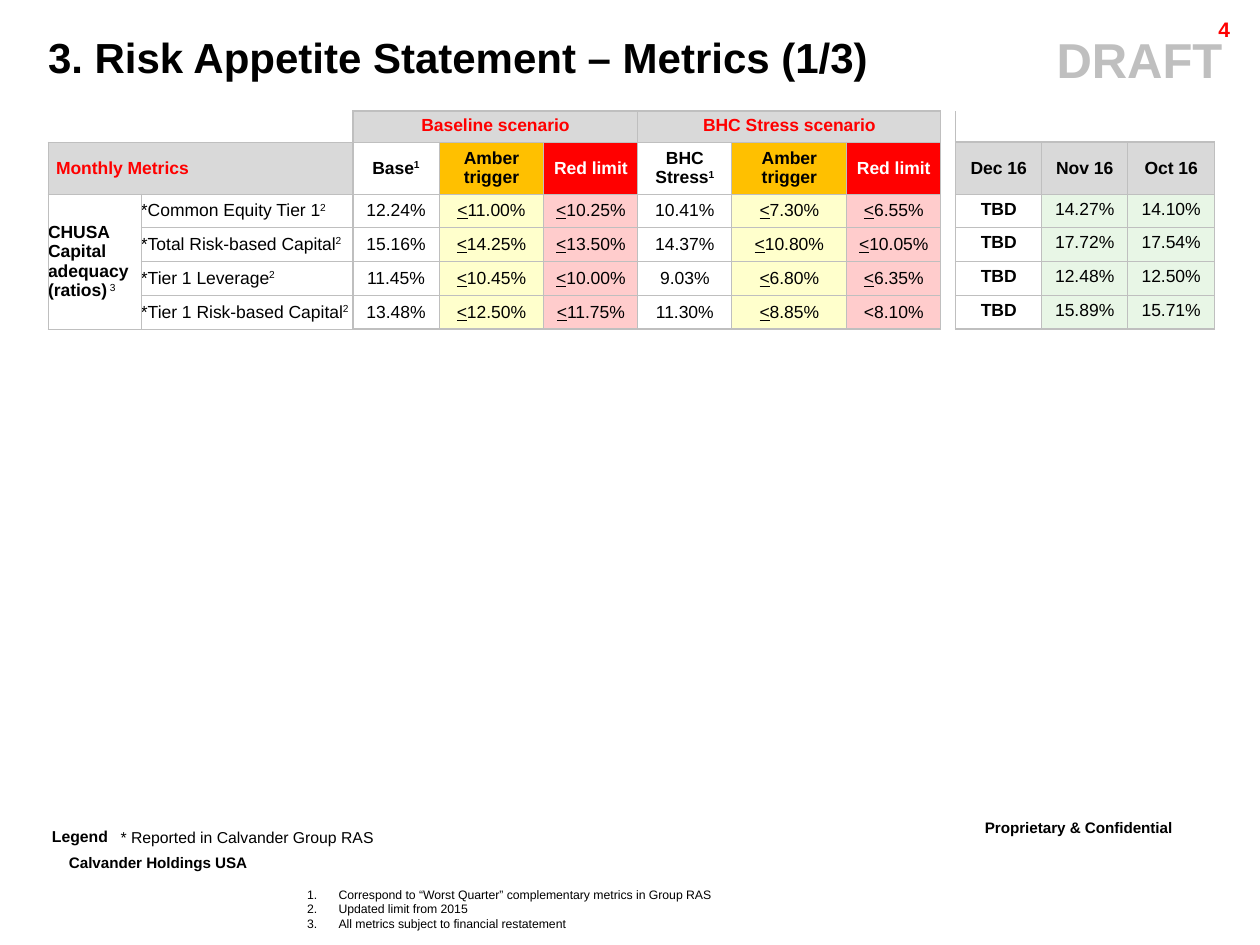
from dataclasses import dataclass
from itertools import accumulate

import pptx
import pptx.dml.color
import pptx.enum.text
import pptx.oxml.ns
import pptx.util
from lxml import etree

PX = 914400 / 126
ALIGN = pptx.enum.text.PP_ALIGN
ANCHOR = pptx.enum.text.MSO_ANCHOR
qn = pptx.oxml.ns.qn


@dataclass(frozen=True)
class Theme:
    font: str = "Arial"
    ink: str = "000000"
    white: str = "FFFFFF"
    red: str = "FF0000"
    amber: str = "FFC000"
    grey: str = "D9D9D9"
    rule: str = "BFBFBF"
    pale_amber: str = "FFFFCC"
    pale_red: str = "FFCCCC"
    pale_green: str = "E8F6E6"
    title: int = 24
    draft: int = 28
    page: int = 12
    owner: int = 15
    body: int = 10
    legend: int = 9
    note: int = 7


THEME = Theme()
NO_GRID_STYLE = "{2D5ABB26-0587-4C30-8999-92F81FD0307C}"


@dataclass(frozen=True)
class Run:
    text: str
    bold: bool = False
    color: str = THEME.ink
    raised: bool = False
    underline: bool = False


@dataclass(frozen=True)
class Label:
    lines: tuple
    left: int
    top: int
    width: int
    height: int
    size: int
    align: ALIGN = ALIGN.LEFT
    inset: tuple = (13, 6)
    leading: float = 1.0
    wrap: bool = True
    numbered: bool = False


@dataclass(frozen=True)
class Entry:
    lines: tuple
    fill: str = ""
    align: ALIGN = ALIGN.CENTER
    anchor: ANCHOR = ANCHOR.MIDDLE
    inset: tuple = (0, 0)
    span: tuple = (1, 1)
    gap: int = 0


@dataclass(frozen=True)
class Metric:
    name: str
    base: str
    base_amber: str
    base_red: str
    stress: str
    stress_amber: str
    stress_red: str
    november: str
    october: str


METRICS = (
    Metric("*Common Equity Tier 1", "12.24%", "≤11.00%", "≤10.25%", "10.41%", "≤7.30%", "≤6.55%", "14.27%", "14.10%"),
    Metric("*Total Risk-based Capital", "15.16%", "≤14.25%", "≤13.50%", "14.37%", "≤10.80%", "≤10.05%", "17.72%", "17.54%"),
    Metric("*Tier 1 Leverage", "11.45%", "≤10.45%", "≤10.00%", "9.03%", "≤6.80%", "≤6.35%", "12.48%", "12.50%"),
    Metric("*Tier 1 Risk-based Capital", "13.48%", "≤12.50%", "≤11.75%", "11.30%", "≤8.85%", "<8.10%", "15.89%", "15.71%"),
)
COLUMNS = (93, 212, 86, 105, 94, 94, 115, 94, 15, 86, 86, 87)
ROWS = (31, 52, 33, 34, 34, 34)
GAP = 8


def px(length: float) -> int:
    return round(length * PX)


def rgb(color: str) -> pptx.dml.color.RGBColor:
    return pptx.dml.color.RGBColor.from_string(color)


def write(frame, lines: tuple, size: int, align: ALIGN) -> None:
    for number, line in enumerate(lines):
        paragraph = frame.add_paragraph() if number else frame.paragraphs[0]
        paragraph.alignment = align
        for part in line:
            run = paragraph.add_run()
            run.text = part.text
            run.font.name = THEME.font
            run.font.size = pptx.util.Pt(size)
            run.font.bold = part.bold
            run.font.underline = part.underline
            run.font.color.rgb = rgb(part.color)
            if part.raised:
                run.font._element.set("baseline", "30000")


def draw_label(slide, label: Label) -> None:
    box = slide.shapes.add_textbox(px(label.left), px(label.top), px(label.width), px(label.height))
    frame = box.text_frame
    frame.word_wrap = label.wrap
    frame.margin_left = frame.margin_right = px(label.inset[0])
    frame.margin_top = frame.margin_bottom = px(label.inset[1])
    write(frame, label.lines, label.size, label.align)
    for paragraph in frame.paragraphs:
        paragraph.line_spacing = label.leading
        if label.numbered:
            properties = paragraph._p.get_or_add_pPr()
            properties.set("marL", str(px(31.5)))
            properties.set("indent", str(-px(31.5)))
            etree.SubElement(properties, qn("a:buAutoNum"), type="arabicPeriod")


def limit(value: str, fill: str) -> Entry:
    if value.startswith("≤"):
        return Entry(((Run("<", underline=True), Run(value[1:])),), fill)
    return Entry(((Run(value),),), fill)


def heading(text: str, fill: str = "", color: str = THEME.ink, note: str = "", **layout) -> Entry:
    parts = (Run(text, True, color),) + ((Run(note, True, color, True),) if note else ())
    return Entry((parts,), fill, **{"inset": (5, 5), "gap": 2, **layout})


def reading(value: str, fill: str = "", bold: bool = False) -> Entry:
    return Entry(((Run(value, bold),),), fill, anchor=ANCHOR.TOP, inset=(6, 6))


def table_entries() -> dict:
    entries = {
        (0, 2): heading("Baseline scenario", THEME.grey, THEME.red, span=(1, 3), anchor=ANCHOR.TOP),
        (0, 5): heading("BHC Stress scenario", THEME.grey, THEME.red, span=(1, 3), anchor=ANCHOR.TOP),
        (1, 0): heading("Monthly Metrics", THEME.grey, THEME.red, span=(1, 2), align=ALIGN.LEFT, inset=(8, 5), gap=0),
        (2, 0): Entry(((Run("CHUSA Capital adequacy", True),), (Run("(ratios)", True), Run(" 3", raised=True))),
                      align=ALIGN.LEFT, span=(4, 1)),
    }
    for column, scenario in ((2, "Base"), (5, "BHC Stress")):
        entries[1, column] = heading(scenario, note="1")
        entries[1, column + 1] = heading("Amber trigger", THEME.amber)
        entries[1, column + 2] = heading("Red limit", THEME.red, THEME.white)
    for column, month in enumerate(("Dec 16", "Nov 16", "Oct 16"), GAP + 1):
        entries[1, column] = heading(month, THEME.grey)
    for row, metric in enumerate(METRICS, 2):
        cells = (
            Entry(((Run(metric.name), Run("2", raised=True)),), align=ALIGN.LEFT),
            limit(metric.base, ""),
            limit(metric.base_amber, THEME.pale_amber),
            limit(metric.base_red, THEME.pale_red),
            limit(metric.stress, ""),
            limit(metric.stress_amber, THEME.pale_amber),
            limit(metric.stress_red, THEME.pale_red),
            Entry(()),
            reading("TBD", bold=True),
            reading(metric.november, THEME.pale_green),
            reading(metric.october, THEME.pale_green),
        )
        entries.update({(row, column): cell for column, cell in enumerate(cells, 1)})
    return entries


def vertical_weight(row: int, line: int) -> float:
    if row == 0 and not 2 <= line <= GAP:
        return 0
    return 1 if line == 2 or line >= GAP else 0.5


def horizontal_weight(line: int, column: int) -> float:
    if column == GAP or (line == 0 and column not in range(2, GAP)):
        return 0
    heavy = line == 0 or (line == 1 and column > GAP) or (line == len(ROWS) and column >= 2)
    return 1 if heavy else 0.5


def draw_borders(cell, row: int, column: int, span: tuple) -> None:
    weights = {
        "a:lnL": vertical_weight(row, column),
        "a:lnR": vertical_weight(row, column + span[1]),
        "a:lnT": horizontal_weight(row, column),
        "a:lnB": horizontal_weight(row + span[0], column),
    }
    properties = cell._tc.get_or_add_tcPr()
    drawn = [(tag, weight) for tag, weight in weights.items() if weight]
    for position, (tag, weight) in enumerate(drawn):
        edge = etree.Element(qn(tag), w=str(pptx.util.Pt(weight)))
        fill = etree.SubElement(edge, qn("a:solidFill"))
        etree.SubElement(fill, qn("a:srgbClr"), val=THEME.rule)
        properties.insert(position, edge)


def draw_cell(cell, row: int, column: int, entry: Entry) -> None:
    cell.margin_left = cell.margin_right = px(entry.inset[0])
    cell.margin_top = cell.margin_bottom = px(entry.inset[1])
    cell.vertical_anchor = entry.anchor
    if entry.fill:
        cell.fill.solid()
        cell.fill.fore_color.rgb = rgb(entry.fill)
    else:
        cell.fill.background()
    write(cell.text_frame, entry.lines, THEME.body, entry.align)
    if entry.lines:
        for paragraph in cell.text_frame.paragraphs:
            paragraph.space_before = paragraph.space_after = pptx.util.Pt(entry.gap)
    else:
        etree.SubElement(cell.text_frame.paragraphs[0]._p, qn("a:endParaRPr"), sz=str(THEME.body * 100))
    if not cell.is_spanned:
        draw_borders(cell, row, column, entry.span)


def draw_metrics(slide) -> None:
    frame = slide.shapes.add_table(len(ROWS), len(COLUMNS), px(48), px(111), px(sum(COLUMNS)), px(sum(ROWS)))
    table = frame.table
    table.first_row = table.horz_banding = False
    table._tbl.tblPr.find(qn("a:tableStyleId")).text = NO_GRID_STYLE
    for sizes, parts, side in ((COLUMNS, table.columns, "width"), (ROWS, table.rows, "height")):
        edges = [px(edge) for edge in accumulate(sizes, initial=0)]
        for part, start, end in zip(parts, edges, edges[1:]):
            setattr(part, side, end - start)
    entries = table_entries()
    for (row, column), entry in entries.items():
        if entry.span != (1, 1):
            table.cell(row, column).merge(table.cell(row + entry.span[0] - 1, column + entry.span[1] - 1))
    for row in range(len(ROWS)):
        for column in range(len(COLUMNS)):
            draw_cell(table.cell(row, column), row, column, entries.get((row, column), Entry(())))


def main() -> None:
    deck = pptx.Presentation()
    deck.slide_width, deck.slide_height = px(1260), px(945)
    slide = deck.slides.add_slide(deck.slide_layouts[6])
    notes = ("Correspond to “Worst Quarter” complementary metrics in Group RAS", "Updated limit from 2015",
             "All metrics subject to financial restatement")
    labels = (
        Label(((Run("Proprietary & Confidential", True, raised=True),),), 972, 809, 275, 44, THEME.owner),
        Label(((Run("Calvander Holdings USA", True, raised=True),),), 56, 844, 241, 44, THEME.owner, wrap=False),
        Label(((Run("DRAFT", True, THEME.rule),),), 1027, 23, 225, 72, THEME.draft, ALIGN.CENTER),
        Label(((Run("4", True, THEME.red),),), 1123, 14, 120, 30, THEME.page, ALIGN.RIGHT, leading=0.86),
        Label(((Run("3. Risk Appetite Statement – Metrics (1/3)", True),),), 35, 33, 1178, 57, THEME.title, leading=0.86),
        Label(((Run("* Reported in Calvander Group RAS"),),), 117, 830, 260, 16, THEME.legend, ALIGN.CENTER, (0, 0), 0.86),
        Label(((Run("Legend", True),),), 52, 829, 82, 16, THEME.legend, inset=(0, 0), leading=0.86),
        Label(tuple((Run(note),) for note in notes), 307, 887, 689, 58, THEME.note, inset=(0, 0), numbered=True),
    )
    for label in labels[:5]:
        draw_label(slide, label)
    draw_metrics(slide)
    for label in labels[5:]:
        draw_label(slide, label)
    deck.save("out.pptx")


if __name__ == "__main__":
    main()
